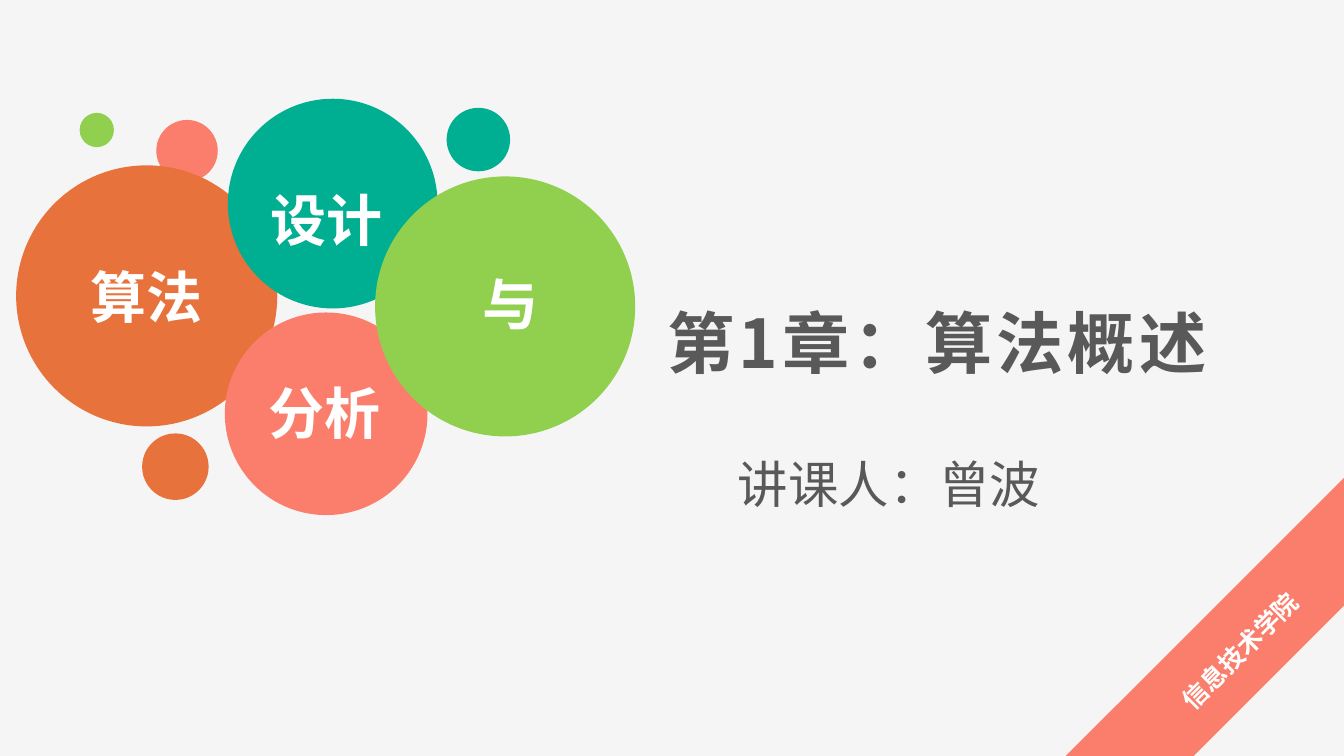
from pptx import Presentation
from pptx.dml.color import RGBColor
from pptx.enum import shapes, text
from pptx.oxml import ns
from pptx.util import Inches, Pt
from lxml import etree

COLORS = {"paper": "F5F5F5", "gray": "595959", "white": "FFFFFF", "orange": "E8723B",
          "teal": "00AF92", "coral": "FB7E6C", "green": "90D04E"}
CJK = "Noto Sans CJK SC"
CENTER = text.PP_ALIGN.CENTER
DOTS = [(1.41, 4.3, 0.66, "orange"), (4.43, 1.07, 0.63, "teal"),
        (1.55, 1.19, 0.61, "coral"), (0.79, 1.12, 0.34, "green")]
BUBBLES = [(0.16, 1.64, 2.59, "orange", "算法", (0.35, 0.92, 1.88, 0.75)),
           (2.26, 0.98, 2.08, "teal", "设计", (0.3, 0.81, 1.36, 0.77)),
           (2.23, 3.1, 2.01, "coral", "分析", (0.31, 0.61, 1.36, 0.77)),
           (3.72, 1.75, 2.58, "green", "与", (0.51, 0.87, 1.66, 0.77))]


def color(name):
    return RGBColor.from_string(COLORS[name])


def place(shape, box):
    for name, value in zip(("left", "top", "width", "height"), box):
        setattr(shape, name, Inches(value))


def write(shape, wording, tone, size, bold=False, font="Arial", align=CENTER,
          line_spacing=1.0, tracking=0, wrap=True):
    frame = shape.text_frame
    frame_format = {"word_wrap": wrap, "auto_size": text.MSO_AUTO_SIZE.NONE,
                    "vertical_anchor": text.MSO_ANCHOR.TOP}
    for name, value in frame_format.items():
        setattr(frame, name, value)
    paragraph = frame.paragraphs[0]
    paragraph.alignment = align
    paragraph.line_spacing = line_spacing
    run = paragraph.add_run()
    run.text = wording
    for name, value in {"size": Pt(size), "bold": bold, "name": font}.items():
        setattr(run.font, name, value)
    run.font.color.rgb = color(tone)
    properties = run.font._element
    etree.SubElement(properties, ns.qn("a:ea")).set("typeface", CJK)
    if tracking:
        properties.set("spc", str(tracking * 100))


def add_text(slide, box, wording, tone, size, **options):
    shape = slide.shapes.add_textbox(*map(Inches, box))
    write(shape, wording, tone, size, **options)
    return shape


def add_filled(slide, kind, box, fill):
    shape = slide.shapes.add_shape(kind, *map(Inches, box))
    shape.shadow.inherit = False
    shape.fill.solid()
    shape.fill.fore_color.rgb = color(fill)
    shape.line.fill.background()
    return shape


def add_heading(slide, left, top):
    place(slide.shapes.title, (left, top, 8.99, 0.91))
    write(slide.shapes.title, "第1章：算法概述", "gray", 48, bold=True, font=CJK, tracking=3)
    add_text(slide, (left + 2.42, top + 1.21, 4.7, 1.62), "讲课人：曾波", "gray", 36,
             font=CJK, align=text.PP_ALIGN.LEFT, line_spacing=1.5)


def add_bubbles(slide):
    circle = shapes.MSO_SHAPE.OVAL
    for left, top, size, fill in DOTS:
        add_filled(slide, circle, (left, top, size, size), fill)
    for left, top, size, fill, wording, (inset, drop, width, height) in BUBBLES:
        add_filled(slide, circle, (left, top, size, size), fill)
        add_text(slide, (left + inset, top + drop, width, height), wording, "white", 40,
                 bold=True)


def add_ribbon(slide, left, top, size):
    stripe = add_filled(slide, shapes.MSO_SHAPE.DIAGONAL_STRIPE, (left, top, size, size), "coral")
    stripe.adjustments[0] = 0.542
    stripe.rotation = 180
    label = add_text(slide, (left + 0.86, top + 1.5, 1.72, 0.43), "信息技术学院", "white", 18,
                     bold=True, font=CJK, line_spacing=1.1, wrap=False)
    label.rotation = 315


def main():
    presentation = Presentation()
    presentation.slide_width = Inches(13.33)
    presentation.slide_height = Inches(7.5)
    slide = presentation.slides.add_slide(presentation.slide_layouts[5])
    slide.background.fill.solid()
    slide.background.fill.fore_color.rgb = color("paper")
    add_heading(slide, 4.8, 2.94)
    add_bubbles(slide)
    add_ribbon(slide, 10.57, 4.73, 2.77)
    presentation.save("out.pptx")


if __name__ == "__main__":
    main()
